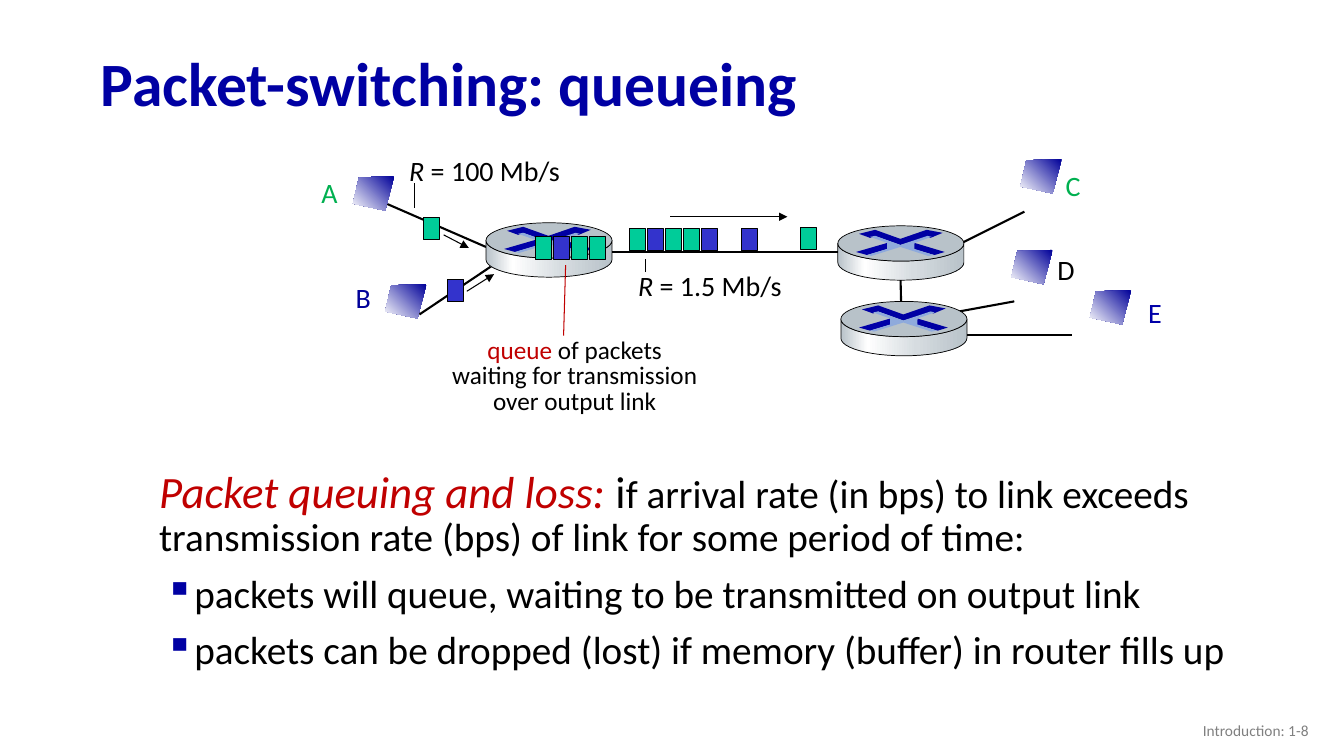
import math
from typing import NamedTuple

import pptx
import pptx.dml.color
import pptx.enum.shapes
import pptx.enum.text
import pptx.oxml.ns
import pptx.util
from lxml import etree

Inches = pptx.util.Inches
Pt = pptx.util.Pt
RGB = pptx.dml.color.RGBColor
ALIGN = pptx.enum.text.PP_ALIGN
ANCHOR = pptx.enum.text.MSO_ANCHOR
SHAPE = pptx.enum.shapes.MSO_SHAPE
qn = pptx.oxml.ns.qn

BLACK, WHITE, GRAY = RGB(0, 0, 0), RGB(255, 255, 255), RGB(0x80, 0x80, 0x80)
NAVY, DARK_BLUE, BLUE = RGB(0, 0, 0xA3), RGB(0, 0, 0x99), RGB(0, 0, 0xA8)
PACKET_BLUE, PACKET_GREEN = RGB(0x33, 0x33, 0xCC), RGB(0, 0xCC, 0x99)
GREEN, RED = RGB(0, 0xB0, 0x50), RGB(0xC0, 0, 0)
STEEL, SILVER, SKY = RGB(0xB8, 0xC2, 0xC9), RGB(0xD6, 0xDC, 0xE0), RGB(0x8F, 0xAA, 0xDC)

Points = list[tuple[float, float]]
Stops = list[tuple[int, RGB]]


class Run(NamedTuple):
    text: str
    size: float
    color: RGB = BLACK
    fmt: dict = {}


class Para(NamedTuple):
    runs: list[Run]
    fmt: dict = {}
    bullet: bool = False


class Box(NamedTuple):
    at: tuple[float, float, float, float]
    paras: list[Para]
    wrap: bool = True
    anchor: ANCHOR = ANCHOR.TOP


class Link(NamedTuple):
    start: tuple[float, float]
    end: tuple[float, float]
    width: float = 1.5
    color: RGB = BLACK
    arrow: bool = False


class Packet(NamedTuple):
    x: float
    y: float
    color: RGB


def label(text: str, color: RGB, x: float, y: float, w: float) -> Box:
    return Box((x, y, w, 0.44), [Para([Run(text, 20, color)])], wrap=False)


def rate(value: str, x: float, y: float, w: float) -> Box:
    runs = [Run("R", 20, fmt={"italic": True}), Run(f" = {value} Mb/s", 20)]
    return Box((x, y, w, 0.44), [Para(runs)], wrap=False)


TIGHT = {"alignment": ALIGN.CENTER, "line_spacing": 0.85}
BODY = {"line_spacing": 0.9, "space_before": Pt(10)}

BOXES = [
    Box((0.9, 0.37, 11.5, 0.98),
        [Para([Run("Packet-switching: queueing", 44, NAVY, {"bold": True})], {"line_spacing": 0.9})],
        anchor=ANCHOR.MIDDLE),
    label("A", GREEN, 3.09, 1.69, 0.36),
    label("B", DARK_BLUE, 3.43, 2.73, 0.35),
    label("C", GREEN, 10.47, 1.62, 0.35),
    label("D", BLACK, 10.39, 2.46, 0.44),
    label("E", BLUE, 11.29, 2.88, 0.34),
    rate("100", 3.96, 1.47, 1.71),
    rate("1.5", 6.23, 2.61, 1.64),
    Box((4.23, 3.31, 2.94, 0.88), [
        Para([Run("queue", 18, RED), Run(" of packets", 18)], TIGHT),
        Para([Run("waiting for transmission over output link", 18)], TIGHT),
    ]),
    Box((1.48, 4.61, 11.32, 2.44), [
        Para([Run("Packet queuing and loss: ", 32, RED, {"italic": True}),
              Run("i", 32),
              Run("f arrival rate (in bps) to link exceeds transmission rate (bps) "
                  "of link for some period of time:", 28)], {"line_spacing": 0.9}),
        Para([Run("packets will queue, waiting to be transmitted on output link", 28)], BODY, True),
        Para([Run("packets can be dropped (lost) if memory (buffer) in router fills up", 28)], BODY, True),
    ]),
    Box((10.08, 7.05, 3, 0.4),
        [Para([Run("Introduction: 1-8", 11, GRAY)], {"alignment": ALIGN.RIGHT})],
        anchor=ANCHOR.MIDDLE),
]

NETWORK_LINKS = [
    Link((3.74, 1.98), (4.82, 2.45)),
    Link((4.16, 3.12), (4.95, 2.59)),
    Link((6.02, 2.5), (8.52, 2.5)),
    Link((8.94, 3.1), (8.93, 2.7)),
    Link((9.5, 2.43), (10.16, 2.1)),
    Link((9.55, 3.32), (10.63, 3.32)),
    Link((10.06, 2.99), (9.02, 3.18)),
]
MARKERS = [
    Link((6.65, 2.15), (7.81, 2.15), 0.75, arrow=True),
    Link((4.4, 2.33), (4.65, 2.46), 0.75, arrow=True),
    Link((4.63, 2.89), (4.9, 2.72), 0.75, arrow=True),
    Link((5.59, 3.33), (5.61, 2.63), 0.75, RED),
    Link((4.11, 2.06), (4.11, 1.82), 0.75),
    Link((6.4, 2.7), (6.4, 2.57), 0.75),
]

G, B = PACKET_GREEN, PACKET_BLUE
PITCH = 0.18
PACKETS = [
    *(Packet(6.24 + i * PITCH, 2.27, c) for i, c in enumerate([G, B, G, G, B])),
    *(Packet(5.31 + i * PITCH, 2.35, c) for i, c in enumerate([G, B, G, G])),
    Packet(7.35, 2.27, B), Packet(7.94, 2.26, G),
    Packet(4.44, 2.77, B), Packet(4.2, 2.16, G),
]

SCREENS = [(10.03, 2.48), (3.5, 1.75), (3.82, 2.82), (10.81, 2.88), (10.12, 1.58)]
SCREEN = [(0.41, 0), (0.06, 0.01), (0, 0.27), (0.32, 0.34)]
SCREEN_STOPS = [(0, DARK_BLUE), (100, WHITE)]

ROUTERS = [(8.31, 2.24), (8.34, 2.99), (4.82, 2.21)]
ROUTER_W, CAP_H, ROUTER_DEPTH = 1.25, 0.35, 0.19
METAL_STOPS = [(0, STEEL), (21, WHITE), (60, SILVER), (100, STEEL)]
ROUTER_MARKS = [
    (NAVY, [(0.88, 0.04), (1.04, 0.07), (0.92, 0.12), (0.89, 0.11), (0.62, 0.19),
            (0.37, 0.1), (0.32, 0.12), (0.21, 0.08), (0.37, 0.04), (0.62, 0.13)]),
    (NAVY, [(0.76, 0.17), (1.06, 0.26), (0.96, 0.29), (0.75, 0.23)]),
    (BLUE, [(0.49, 0.17), (0.49, 0.23), (0.29, 0.29), (0.18, 0.26)]),
    (SKY, [(0.32, 0.11), (0.37, 0.1), (0.62, 0.19), (0.89, 0.1), (0.93, 0.11), (0.76, 0.17),
           (0.76, 0.23), (0.95, 0.29), (0.9, 0.3), (0.62, 0.21), (0.33, 0.3), (0.29, 0.29),
           (0.49, 0.23), (0.49, 0.17)]),
]


def paint(sp, fill: RGB | Stops, line: float = 0, angle: int = 0) -> None:
    sp.shadow.inherit = False
    if isinstance(fill, RGB):
        sp.fill.solid()
        sp.fill.fore_color.rgb = fill
    else:
        sp.fill.gradient()
        sp.fill.gradient_angle = -angle % 360
        stops = next(sp.element.iter(qn("a:gsLst")))
        stops.clear()
        for pos, color in fill:
            gs = etree.SubElement(stops, qn("a:gs"), pos=str(pos * 1000))
            etree.SubElement(gs, qn("a:srgbClr"), val=str(color))
    if line:
        sp.line.color.rgb = BLACK
        sp.line.width = Pt(line)
    else:
        sp.line.fill.background()


def add_outline(s, origin: tuple[float, float], points: Points):
    xy = [(Inches(origin[0] + x), Inches(origin[1] + y)) for x, y in points]
    builder = s.shapes.build_freeform(*xy[0])
    builder.add_line_segments(xy[1:], close=True)
    return builder.convert_to_shape()


def add_preset(s, kind: SHAPE, at: tuple[float, float, float, float], fill: RGB, line: float) -> None:
    paint(s.shapes.add_shape(kind, *map(Inches, at)), fill, line)


def add_router(s, x: float, y: float) -> None:
    rx, ry, steps = ROUTER_W / 2, CAP_H / 2, 24
    rim = [(rx + rx * math.cos(math.pi * i / steps), ry + ry * math.sin(math.pi * i / steps))
           for i in range(steps + 1)]
    side = rim + [(px, py + ROUTER_DEPTH) for px, py in reversed(rim)]
    paint(add_outline(s, (x, y), side), METAL_STOPS, 0.5)
    add_preset(s, SHAPE.OVAL, (x, y, ROUTER_W, CAP_H), STEEL, 0.5)
    for color, points in ROUTER_MARKS:
        paint(add_outline(s, (x, y), points), color)


def add_link(s, link: Link) -> None:
    ends = map(Inches, link.start + link.end)
    cx = s.shapes.add_connector(pptx.enum.shapes.MSO_CONNECTOR.STRAIGHT, *ends)
    cx.line.color.rgb = link.color
    cx.line.width = Pt(link.width)
    if link.arrow:
        etree.SubElement(cx.line._get_or_add_ln(), qn("a:tailEnd"), type="triangle")
    etree.SubElement(cx.element.spPr, qn("a:effectLst"))


def add_box(s, box: Box) -> None:
    tf = s.shapes.add_textbox(*map(Inches, box.at)).text_frame
    tf.word_wrap = box.wrap
    tf.vertical_anchor = box.anchor
    for i, para in enumerate(box.paras):
        p = tf.add_paragraph() if i else tf.paragraphs[0]
        for name, value in para.fmt.items():
            setattr(p, name, value)
        if para.bullet:
            pPr = p._p.get_or_add_pPr()
            pPr.set("marL", str(Inches(0.31)))
            pPr.set("indent", str(Inches(-0.25)))
            clr = etree.SubElement(pPr, qn("a:buClr"))
            etree.SubElement(clr, qn("a:srgbClr"), val=str(NAVY))
            etree.SubElement(pPr, qn("a:buChar"), char="▪")
        for run in para.runs:
            r = p.add_run()
            r.text = run.text
            r.font.color.rgb = run.color
            for name, value in {"name": "Calibri", "size": Pt(run.size), **run.fmt}.items():
                setattr(r.font, name, value)


def main() -> None:
    prs = pptx.Presentation()
    prs.slide_width, prs.slide_height = Inches(13.33), Inches(7.5)
    s = prs.slides.add_slide(prs.slide_layouts[6])
    for link in NETWORK_LINKS:
        add_link(s, link)
    for origin in SCREENS:
        paint(add_outline(s, origin, SCREEN), SCREEN_STOPS, angle=135)
    for x, y in ROUTERS:
        add_router(s, x, y)
    for packet in PACKETS:
        add_preset(s, SHAPE.RECTANGLE, (packet.x, packet.y, 0.16, 0.22), packet.color, 0.75)
    for link in MARKERS:
        add_link(s, link)
    for box in BOXES:
        add_box(s, box)
    prs.save("out.pptx")


if __name__ == "__main__":
    main()
